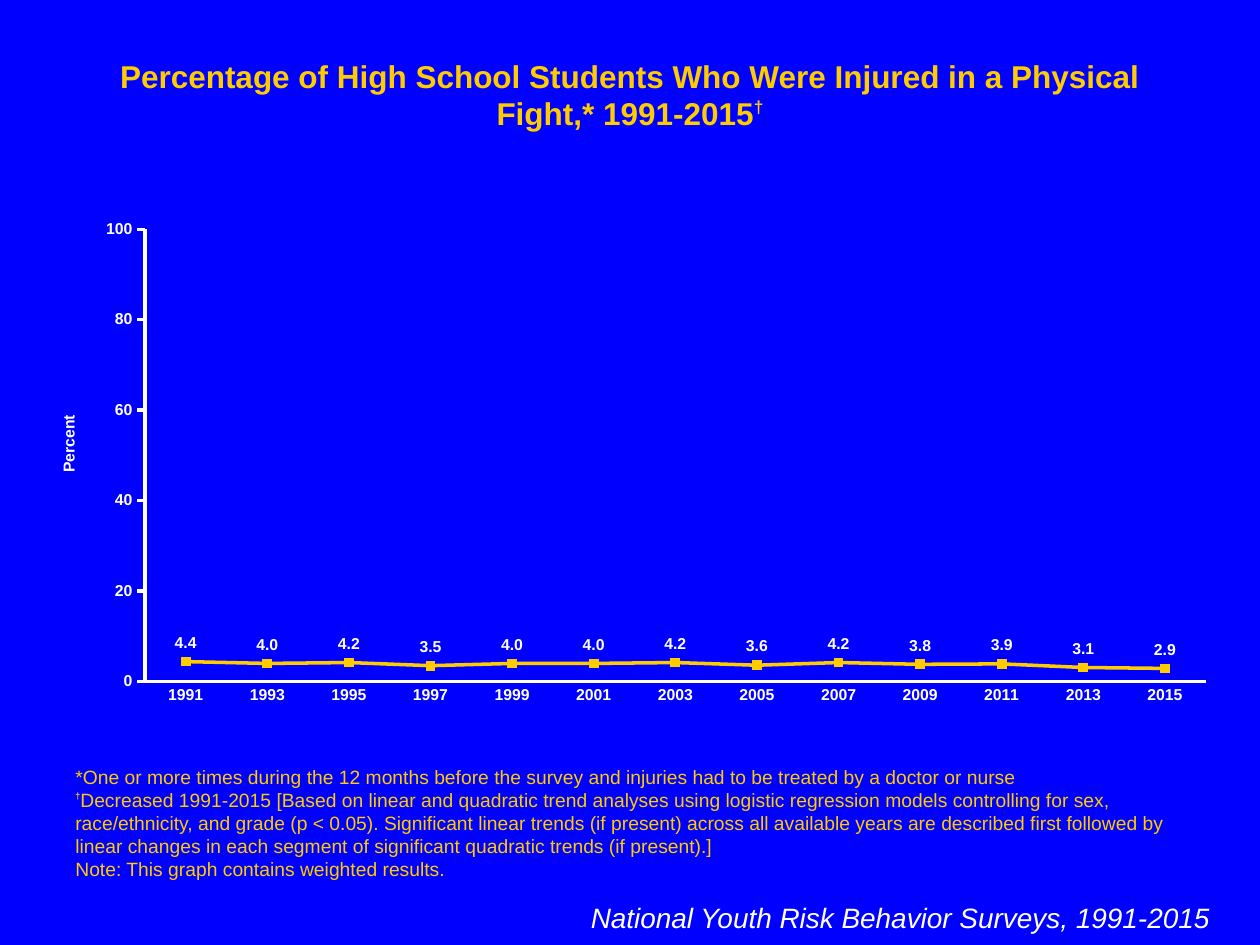
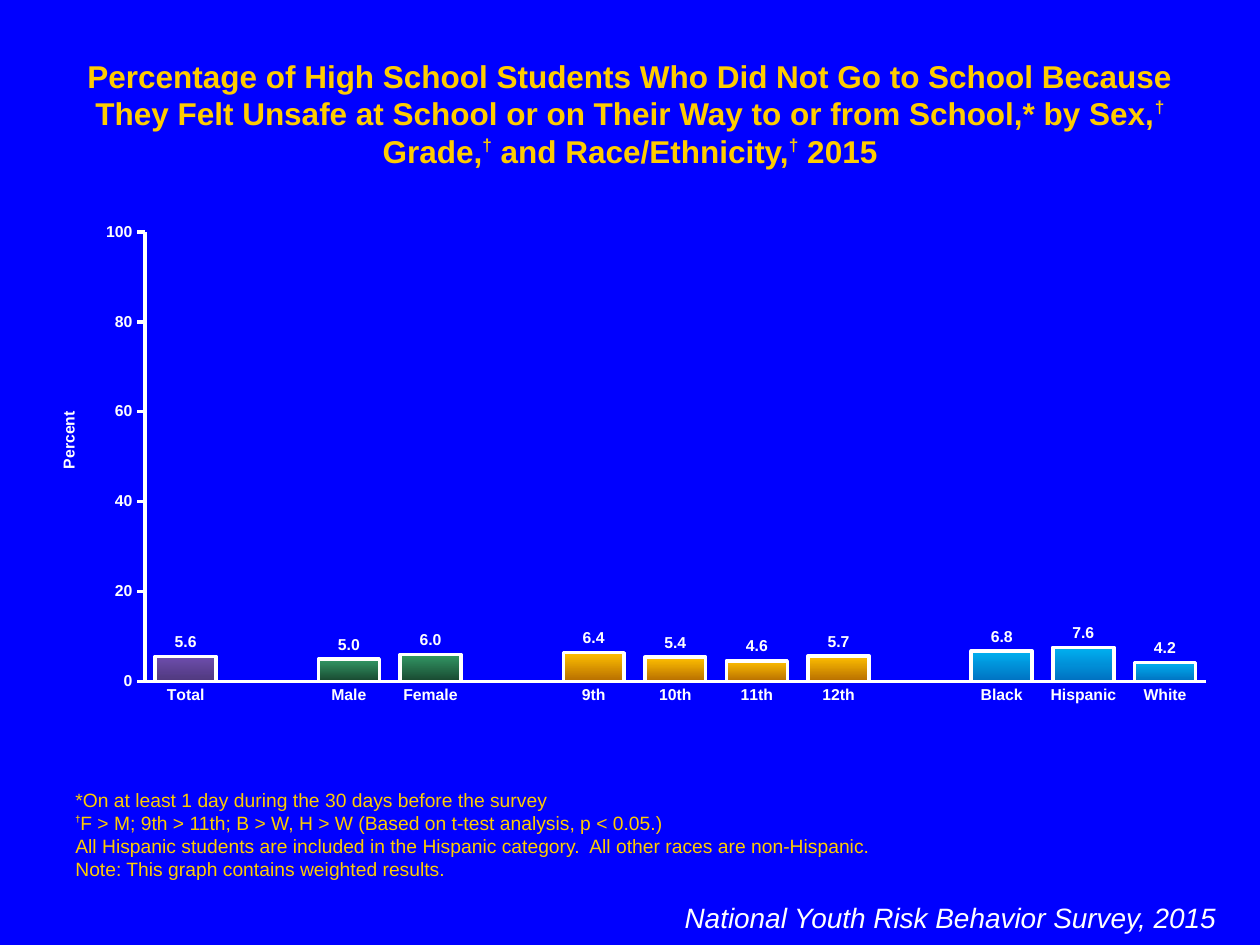
import dataclasses

import lxml.etree
import pptx
import pptx.chart.data
import pptx.dml.color
import pptx.enum.chart
import pptx.enum.text
import pptx.oxml.ns
import pptx.util

Inches = pptx.util.Inches
Pt = pptx.util.Pt
Align = pptx.enum.text.PP_ALIGN
Anchor = pptx.enum.text.MSO_ANCHOR
ChartType = pptx.enum.chart.XL_CHART_TYPE
LabelPosition = pptx.enum.chart.XL_LABEL_POSITION
TickMark = pptx.enum.chart.XL_TICK_MARK
qn = pptx.oxml.ns.qn


@dataclasses.dataclass(frozen=True)
class Theme:
    font: str = "Arial"
    background: str = "0000FF"
    accent: str = "FFCC00"
    light: str = "FFFFFF"
    total: tuple = ("6E4EAE", "4F387C")
    sex: tuple = ("339966", "18472F")
    grade: tuple = ("FFC000", "B66D00")
    race: tuple = ("00B0F0", "0070C0")
    title_size: int = 18
    title_dagger_size: int = 17
    note_size: int = 11
    note_dagger_size: int = 9
    source_size: int = 16
    chart_size: int = 9
    line_width: int = 2


THEME = Theme()
DAGGER = "†"
CHART_LEFT, CHART_WIDTH, CHART_BOTTOM = 0.25, 9.5, 5.67
PLOT_LEFT, PLOT_TOP, PLOT_WIDTH, PLOT_MARGIN = 0.9, 0.15, 8.42, 0.41

YEARS = [str(year) for year in range(1991, 2016, 2)]
INJURED = [4.4, 4.0, 4.2, 3.5, 4.0, 4.0, 4.2, 3.6, 4.2, 3.8, 3.9, 3.1, 2.9]
UNSAFE_GROUPS = [
    (THEME.total, {"Total": 5.6}),
    (THEME.sex, {"Male": 5.0, "Female": 6.0}),
    (THEME.grade, {"9th": 6.4, "10th": 5.4, "11th": 4.6, "12th": 5.7}),
    (THEME.race, {"Black": 6.8, "Hispanic": 7.6, "White": 4.2}),
]
WEIGHTED_NOTE = "Note: This graph contains weighted results."


def rgb(value):
    return pptx.dml.color.RGBColor.from_string(value)


def style_font(font, size, color, bold=False, italic=False):
    font.name = THEME.font
    font.size = Pt(size)
    font.color.rgb = rgb(color)
    font.bold = bold
    font.italic = italic


def style_line(line, color):
    line.color.rgb = rgb(color)
    line.width = Pt(THEME.line_width)


def add_text_box(slide, left, top, width, height, anchor=Anchor.TOP):
    frame = slide.shapes.add_textbox(
        Inches(left), Inches(top), Inches(width), Inches(height)
    ).text_frame
    frame.word_wrap = True
    frame.vertical_anchor = anchor
    return frame


def add_runs(paragraph, text, size, dagger_size, raised, bold):
    for index, part in enumerate(text.split(DAGGER)):
        if index:
            run = paragraph.add_run()
            run.text = DAGGER
            style_font(run.font, dagger_size, THEME.accent, bold=True)
            run._r.get_or_add_rPr().set("baseline", str(raised * 1000))
        if part:
            run = paragraph.add_run()
            run.text = part
            style_font(run.font, size, THEME.accent, bold=bold)


def add_title(slide, text):
    paragraph = add_text_box(slide, 0.5, 0.4, 9, 0.4).paragraphs[0]
    paragraph.alignment = Align.CENTER
    add_runs(paragraph, text, THEME.title_size, THEME.title_dagger_size, 40, True)


def add_notes_block(slide, lines):
    frame = add_text_box(slide, 0.5, 6.01, 9, 1.03, Anchor.BOTTOM)
    for index, line in enumerate(lines):
        paragraph = frame.add_paragraph() if index else frame.paragraphs[0]
        add_runs(paragraph, line, THEME.note_size, THEME.note_dagger_size, 50, False)


def add_source(slide, text, right):
    paragraph = add_text_box(slide, right - 5.5, 7.1, 5.5, 0.37).paragraphs[0]
    paragraph.alignment = Align.RIGHT
    run = paragraph.add_run()
    run.text = text
    style_font(run.font, THEME.source_size, THEME.light, italic=True)


def set_layout(parent, position, settings):
    for previous in parent.findall(qn("c:layout")):
        parent.remove(previous)
    layout = lxml.etree.Element(qn("c:layout"))
    manual = lxml.etree.SubElement(layout, qn("c:manualLayout"))
    for name, value in settings.items():
        lxml.etree.SubElement(manual, qn(f"c:{name}")).set("val", str(value))
    parent.insert(position, layout)


def style_axes(chart, title_x, title_y):
    category_axis, value_axis = chart.category_axis, chart.value_axis
    for axis, tick in ((category_axis, TickMark.NONE), (value_axis, TickMark.OUTSIDE)):
        axis.has_major_gridlines = False
        axis.major_tick_mark = tick
        axis.minor_tick_mark = TickMark.NONE
        style_line(axis.format.line, THEME.light)
        style_font(axis.tick_labels.font, THEME.chart_size, THEME.light, bold=True)
    value_axis.minimum_scale = 0
    value_axis.maximum_scale = 100
    value_axis.major_unit = 20
    value_axis.tick_labels.number_format = "#,##0"
    value_axis.tick_labels.number_format_is_linked = False

    title = value_axis.axis_title
    frame = title.text_frame
    frame._txBody.find(qn("a:bodyPr")).set("rot", "-5400000")
    run = frame.paragraphs[0].add_run()
    run.text = "Percent"
    style_font(run.font, THEME.chart_size, THEME.light, bold=True)
    set_layout(title._element, 1,
               {"xMode": "edge", "yMode": "edge", "x": title_x, "y": title_y})


def add_percent_chart(slide, chart_type, top, title_y, categories, values, label_position):
    height = CHART_BOTTOM - top
    data = pptx.chart.data.CategoryChartData()
    data.categories = categories
    data.add_series("Series 1", values)
    chart = slide.shapes.add_chart(
        chart_type, Inches(CHART_LEFT), Inches(top),
        Inches(CHART_WIDTH), Inches(height), data,
    ).chart
    chart.has_title = False
    chart.has_legend = False
    style_font(chart.font, THEME.chart_size, THEME.light)
    style_axes(chart, 0.02, title_y)
    set_layout(chart._chartSpace.chart.plotArea, 0, {
        "layoutTarget": "inner", "xMode": "edge", "yMode": "edge",
        "x": PLOT_LEFT / CHART_WIDTH, "y": PLOT_TOP / height,
        "w": PLOT_WIDTH / CHART_WIDTH, "h": (height - PLOT_MARGIN) / height,
    })

    plot = chart.plots[0]
    plot.vary_by_categories = False
    plot.has_data_labels = True
    labels = plot.data_labels
    labels.show_value = True
    labels.position = label_position
    labels.number_format = "#,##0.0"
    labels.number_format_is_linked = False
    style_font(labels.font, THEME.chart_size, THEME.light, bold=True)
    return plot


def add_trend_chart(slide):
    plot = add_percent_chart(slide, ChartType.LINE_MARKERS, 1.67, 0.4,
                             YEARS, INJURED, LabelPosition.ABOVE)
    series = plot.series[0]
    series.smooth = False
    style_line(series.format.line, THEME.accent)
    marker = series.marker
    marker.style = pptx.enum.chart.XL_MARKER_STYLE.SQUARE
    marker.size = 5
    marker.format.fill.solid()
    marker.format.fill.fore_color.rgb = rgb(THEME.accent)
    marker.format.line.color.rgb = rgb(THEME.accent)


def add_group_chart(slide):
    bars = []
    for gradient, group in UNSAFE_GROUPS:
        if bars:
            bars.append(("", None, None))
        bars.extend((name, value, gradient) for name, value in group.items())
    categories, values, gradients = zip(*bars)
    plot = add_percent_chart(slide, ChartType.COLUMN_CLUSTERED, 1.69, 0.39,
                             categories, values, LabelPosition.OUTSIDE_END)
    plot.gap_width = 34
    plot.overlap = 100
    series = plot.series[0]
    series.invert_if_negative = False
    for index, gradient in enumerate(gradients):
        if gradient:
            bar = series.points[index].format
            bar.fill.gradient()
            bar.fill.gradient_angle = 270
            for stop, color in zip(bar.fill.gradient_stops, gradient):
                stop.color.rgb = rgb(color)
            style_line(bar.line, THEME.light)


def add_survey_slide(presentation, title, notes, source, source_right, draw_chart):
    slide = presentation.slides.add_slide(presentation.slide_layouts[6])
    slide.background.fill.solid()
    slide.background.fill.fore_color.rgb = rgb(THEME.background)
    add_title(slide, title)
    add_notes_block(slide, notes + [WEIGHTED_NOTE])
    add_source(slide, source, source_right)
    draw_chart(slide)


def main():
    presentation = pptx.Presentation()
    presentation.slide_width = Inches(10)
    presentation.slide_height = Inches(7.5)
    add_survey_slide(
        presentation,
        "Percentage of High School Students Who Were Injured in a Physical Fight,* 1991-2015†",
        [
            "*One or more times during the 12 months before the survey and injuries "
            "had to be treated by a doctor or nurse",
            "†Decreased 1991-2015 [Based on linear and quadratic trend analyses using "
            "logistic regression models controlling for sex, race/ethnicity, and grade "
            "(p < 0.05). Significant linear trends (if present) across all available "
            "years are described first followed by linear changes in each segment of "
            "significant quadratic trends (if present).]",
        ],
        "National Youth Risk Behavior Surveys, 1991-2015", 9.7, add_trend_chart,
    )
    add_survey_slide(
        presentation,
        "Percentage of High School Students Who Did Not Go to School Because They Felt "
        "Unsafe at School or on Their Way to or from School,* by Sex,† Grade,† and "
        "Race/Ethnicity,† 2015",
        [
            "*On at least 1 day during the 30 days before the survey",
            "†F > M; 9th > 11th; B > W, H > W (Based on t-test analysis, p < 0.05.)",
            "All Hispanic students are included in the Hispanic category.  "
            "All other races are non-Hispanic.",
        ],
        "National Youth Risk Behavior Survey, 2015", 9.75, add_group_chart,
    )
    presentation.save("out.pptx")


if __name__ == "__main__":
    main()
